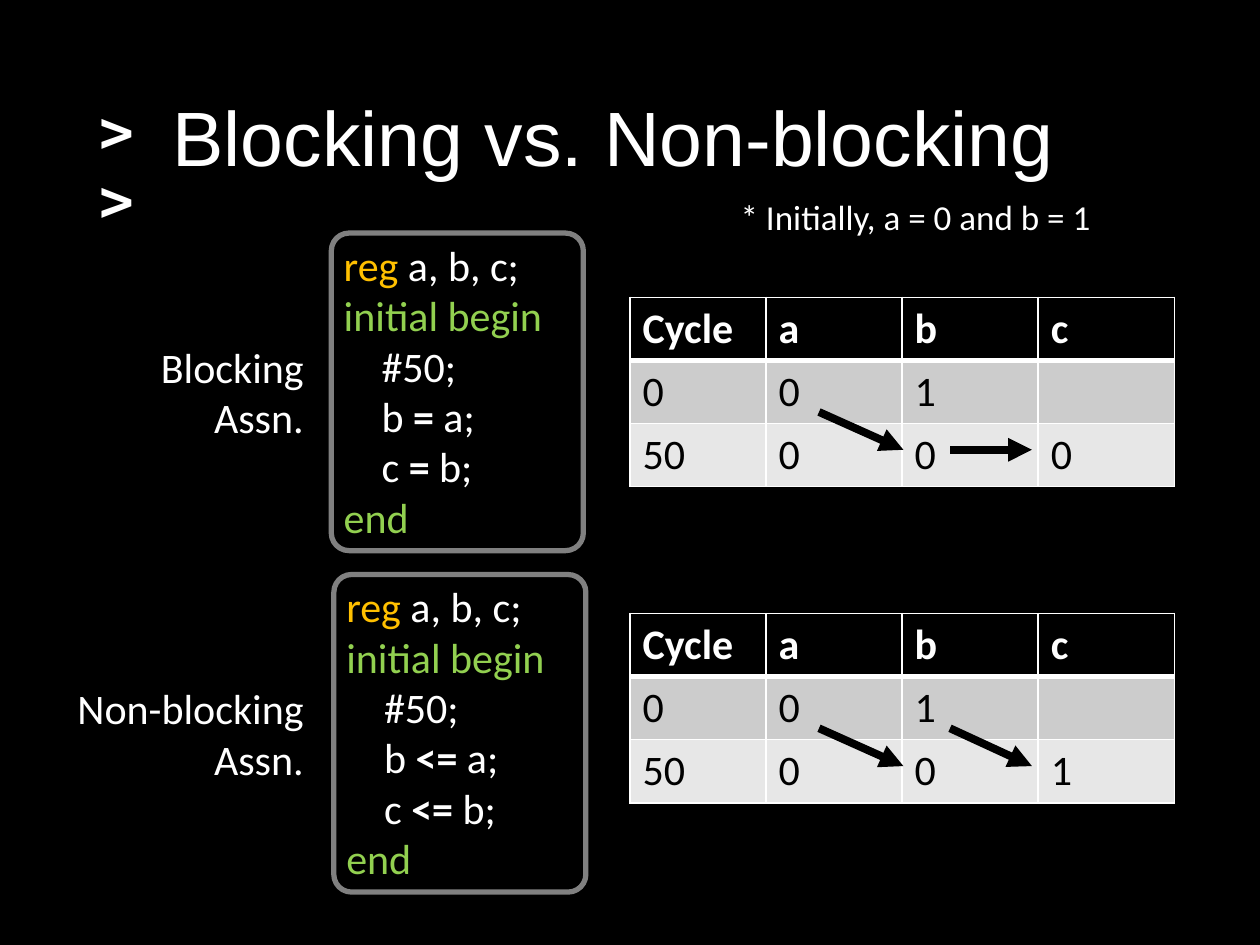
from lxml import etree
from pptx import Presentation
from pptx import util as u
from pptx.dml.color import RGBColor
from pptx.enum import shapes, text
from pptx.oxml import ns

WHITE, BLACK, GRAY = "FFFFFF", "000000", "808080"
ORANGE, GREEN = "FFC000", "92D050"
ROW_FILLS = [BLACK, "CCCCCC", "E7E7E7"]
COL, ROW = 1.08, 0.5
TABLE_X = 5
CODE_W, CODE_H = 2, 2.52


def rgb(value):
    return RGBColor.from_string(value)


def sub(parent, tag, **attrs):
    return etree.SubElement(parent, ns.qn(tag), attrs)


def style(font, size, color=None, name="Calibri", bold=False):
    font.size, font.name, font.bold = u.Pt(size), name, bold
    if color:
        font.color.rgb = rgb(color)


def add_text(slide, box, lines, size, name="Calibri", bold=False, wrap=True,
             align=text.PP_ALIGN.LEFT, anchor=text.MSO_ANCHOR.TOP):
    tf = slide.shapes.add_textbox(*map(u.Inches, box)).text_frame
    tf.word_wrap, tf.vertical_anchor = wrap, anchor
    for i, line in enumerate(lines):
        p = tf.paragraphs[0] if i == 0 else tf.add_paragraph()
        p.text, p.alignment = line, align
        style(p.font, size, WHITE, name, bold)
    return tf


def add_code(slide, x, y, operator):
    tf = slide.shapes.add_textbox(*map(u.Inches, (x, y, CODE_W, CODE_H))).text_frame
    tf.word_wrap = False
    lines = [
        (0, [("reg ", ORANGE, False), ("a, b, c;", WHITE, False)]),
        (0, [("initial begin", GREEN, False)]),
        (0.3, [("#50;", WHITE, False)]),
        *[(0.3, [(target, WHITE, False), (f" {operator} ", WHITE, True),
                 (f"{value};", WHITE, False)]) for target, value in ("ba", "cb")],
        (0, [("end", GREEN, False)]),
    ]
    for i, (indent, runs) in enumerate(lines):
        p = tf.paragraphs[0] if i == 0 else tf.add_paragraph()
        p._p.get_or_add_pPr().set("marL", str(u.Inches(indent)))
        for content, color, bold in runs:
            r = p.add_run()
            r.text = content
            style(r.font, 24, color, bold=bold)
    sp = slide.shapes.add_shape(shapes.MSO_SHAPE.ROUNDED_RECTANGLE,
                                *map(u.Inches, (x, y, CODE_W, CODE_H)))
    sp.adjustments[0] = 0.07
    sp.shadow.inherit = False
    sp.fill.background()
    sp.line.color.rgb, sp.line.width = rgb(GRAY), u.Pt(3)


def set_borders(cell, bottom):
    tc_pr = cell._tc.get_or_add_tcPr()
    for i, side in enumerate("LRTB"):
        width = bottom if side == "B" else 1
        ln = sub(tc_pr, f"a:ln{side}", w=str(u.Pt(width)))
        sub(sub(ln, "a:solidFill"), "a:srgbClr", val=WHITE)
        tc_pr.insert(i, ln)


def add_cycle_table(slide, y, last_c):
    rows = [["Cycle", "a", "b", "c"], ["0", "0", "1", ""], ["50", "0", "0", last_c]]
    frame = slide.shapes.add_table(3, 4, *map(u.Inches, (TABLE_X, y, 4 * COL, 3 * ROW)))
    table = frame.table
    for column in table.columns:
        column.width = u.Inches(COL)
    for i, row in enumerate(rows):
        for j, value in enumerate(row):
            cell = table.cell(i, j)
            cell.text = value
            style(cell.text_frame.paragraphs[0].font, 24,
                  BLACK if i else WHITE, bold=i == 0)
            cell.fill.solid()
            cell.fill.fore_color.rgb = rgb(ROW_FILLS[i])
            set_borders(cell, 1 if i else 3)


def add_arrow(slide, x1, y1, x2, y2):
    line = slide.shapes.add_connector(shapes.MSO_CONNECTOR.STRAIGHT,
                                      *map(u.Inches, (x1, y1, x2, y2)))
    line.line.color.rgb, line.line.width = rgb(BLACK), u.Pt(4.5)
    sub(line.line._get_or_add_ln(), "a:tailEnd", type="triangle")
    sub(line._element.spPr, "a:effectLst")


def main():
    prs = Presentation()
    prs.slide_width, prs.slide_height = u.Inches(10), u.Inches(7.5)
    s = prs.slides.add_slide(prs.slide_layouts[6])
    s.background.fill.solid()
    s.background.fill.fore_color.rgb = rgb(BLACK)

    prompt = add_text(s, (0.69, 0.7, 0.58, 0.66), [">>"], 33, "DejaVu Sans Mono", True)
    r = prompt.paragraphs[0].runs[0]
    r.font.italic = True
    r._r.get_or_add_rPr().set("spc", "-450")
    title = add_text(s, (1.27, 0.4, 8.04, 1.45), ["Blocking vs. Non-blocking"], 44,
                     "Arial", anchor=text.MSO_ANCHOR.MIDDLE)
    title.paragraphs[0].line_spacing = 0.9
    add_text(s, (5.78, 1.5, 3.01, 0.44), ["* Initially, a = 0 and b = 1"], 20)

    cases = [
        ("Blocking", "=", 2.63, 1.85, 2.36, "0", 1.21),
        ("Non-blocking", "<=", 2.65, 4.56, 4.87, "1", 0.91),
    ]
    for name, operator, code_x, code_y, table_y, last_c, c_start in cases:
        add_code(s, code_x, code_y, operator)
        add_text(s, (0.5, code_y + 0.81, 2.01, 0.91), [name, "Assn."], 24,
                 wrap=False, align=text.PP_ALIGN.RIGHT)
        add_cycle_table(s, table_y, last_c)
        end_y = table_y + 1.21
        add_arrow(s, 6.5, table_y + 0.91, 7.17, end_y)
        add_arrow(s, 7.54, table_y + c_start, 8.19, end_y)

    prs.save("out.pptx")


if __name__ == "__main__":
    main()
